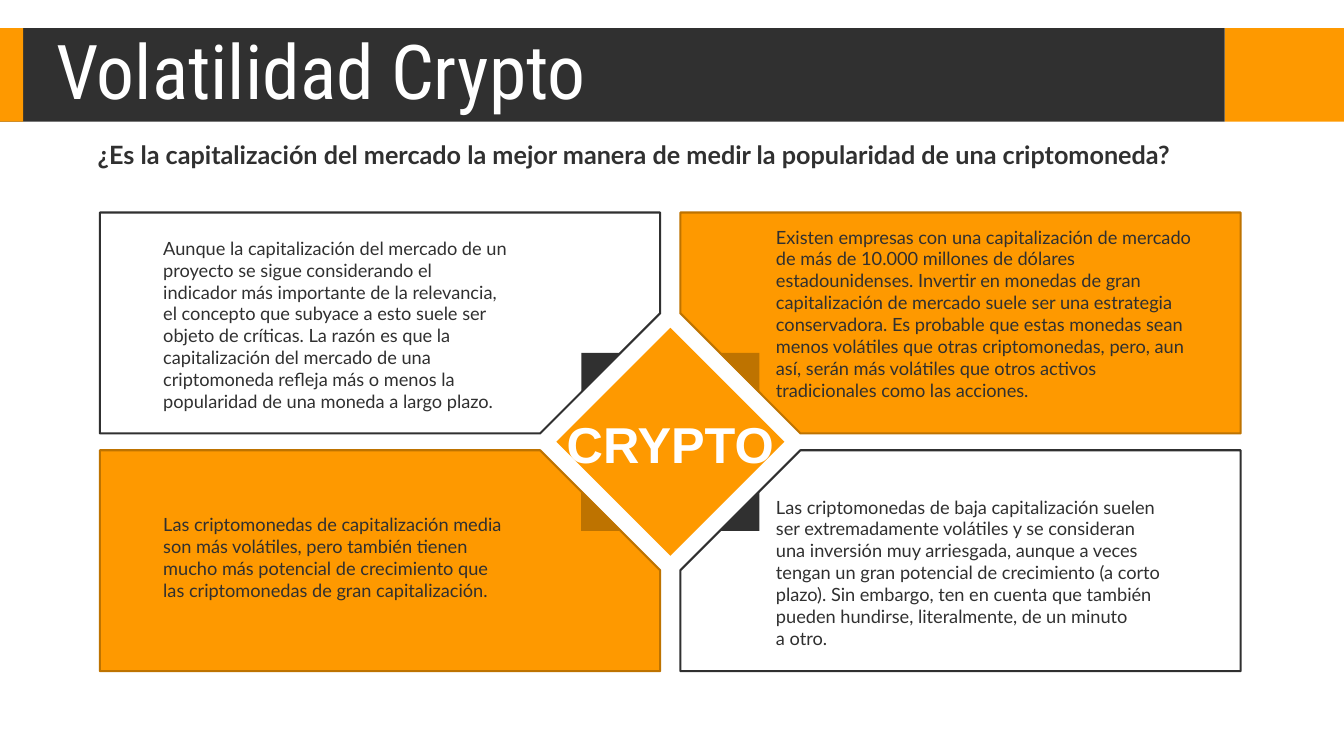
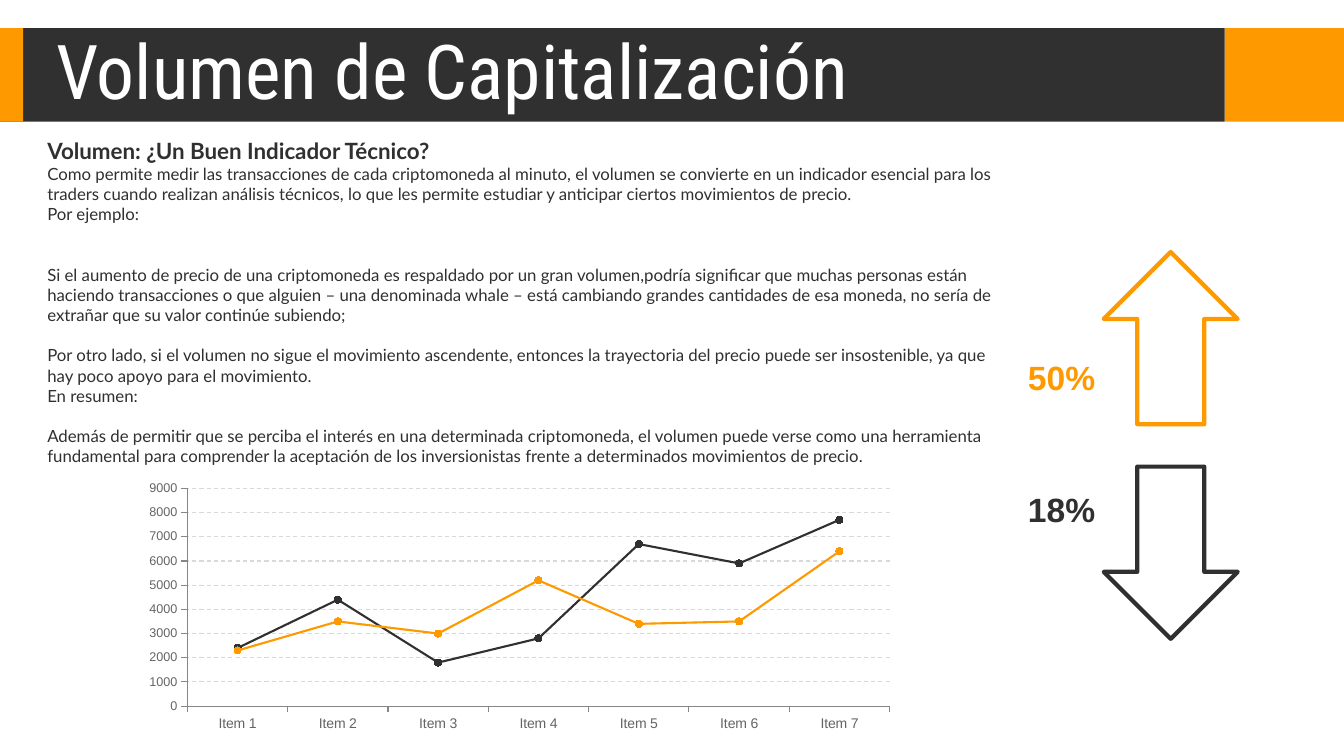
from copy import deepcopy

from lxml import etree
from pptx import Presentation
from pptx.chart.data import CategoryChartData
from pptx.dml.color import RGBColor
from pptx.enum import chart as charts, dml, shapes, text
from pptx.oxml import ns
from pptx.util import Emu, Pt

# The slide is a grid of 32 columns by 18 rows of square cells
COLUMNS, ROWS, CELL = 32, 18, 381000
COLORS = {"dark": "303030", "orange": "FE9900", "brown": "BE7300",
          "white": "FFFFFF", "label": "646464", "axis": "868686", "grid": "D9D9D9"}
KIND = shapes.MSO_SHAPE


def color(name):
    return RGBColor.from_string(COLORS[name])


def cells(*counts):
    return [Emu(round(count * CELL)) for count in counts]


def write(para, words, size=13, font="Lato", ink="dark", bold=False,
          align="LEFT", before=0, spacing=None):
    """Fill one paragraph; a newline in the words is a line break."""
    para.text = words
    para.alignment = getattr(text.PP_ALIGN, align)
    if before:
        para.space_before = Pt(before)
    if spacing:
        para.line_spacing = spacing
    for span in para.runs:
        span.font.name, span.font.size, span.font.bold = font, Pt(size), bold
        span.font.color.rgb = color(ink)
    for line_break in para._p.findall(ns.qn("a:br")):
        line_break.insert(0, deepcopy(para.runs[0]._r.rPr))


class Slides:
    def __init__(self):
        self.deck = Presentation()
        self.deck.slide_width, self.deck.slide_height = cells(COLUMNS, ROWS)
        self.layout = self.deck.slide_layouts[5]
        self.page = None

    def new_page(self, title):
        self.page = self.deck.slides.add_slide(self.layout)
        if len(self.deck.slides) == 1:
            self.bands()
        box = self.page.shapes.title
        box.left, box.top, box.width, box.height = cells(1.1, 0.84, 23.28, 1.9)
        frame = box.text_frame
        frame.auto_size = text.MSO_AUTO_SIZE.NONE
        frame.vertical_anchor = text.MSO_ANCHOR.MIDDLE
        write(frame.paragraphs[0], title, size=54, font="Roboto Condensed",
              ink="white", spacing=0.9)

    def bands(self):
        """Place the header bands in the layout, behind its placeholders."""
        bands = ((29.16, 2.84, "orange"), (0, 29.16, "dark"), (0, 0.55, "orange"))
        for index, (left, width, fill) in enumerate(bands):
            band = self.shape(KIND.RECTANGLE, left, 0.67, width, 2.23, fill=fill)
            band._element.nvSpPr.cNvPr.id = 101 + index
            self.layout.shapes._spTree.insert(2 + index, band._element)

    def paint(self, shape, fill=None, line=None, weight=1.5):
        shape.shadow.inherit = False
        if fill:
            shape.fill.solid()
            shape.fill.fore_color.rgb = color(fill)
        else:
            shape.fill.background()
        if line:
            shape.line.color.rgb = color(line)
            shape.line.width = Pt(weight)
        else:
            shape.line.fill.background()
        return shape

    def shape(self, kind, left, top, width, height, turn=0, **style):
        shape = self.page.shapes.add_shape(kind, *cells(left, top, width, height))
        shape.rotation = turn
        return self.paint(shape, **style)

    def outline(self, points, **style):
        start, *others = [cells(*point) for point in points]
        builder = self.page.shapes.build_freeform(*start)
        builder.add_line_segments(others, close=True)
        return self.paint(builder.convert_to_shape(), **style)

    def text(self, left, top, width, height, *paragraphs, anchor="MIDDLE", **style):
        """Each paragraph is a string, or a pair of string and own format."""
        box = self.page.shapes.add_textbox(*cells(left, top, width, height))
        frame = box.text_frame
        frame.word_wrap = True
        frame.vertical_anchor = getattr(text.MSO_ANCHOR, anchor)
        for index, item in enumerate(paragraphs):
            words, own = (item, {}) if isinstance(item, str) else item
            para = frame.add_paragraph() if index else frame.paragraphs[0]
            write(para, words, **{**style, **own})

    def line_chart(self, left, top, width, height, categories, series):
        """Each series is a name, a colour and its values."""
        data = CategoryChartData()
        data.categories = categories
        for name, _, values in series:
            data.add_series(name, values)
        chart = self.page.shapes.add_chart(
            charts.XL_CHART_TYPE.LINE_MARKERS,
            *cells(left, top, width, height), data).chart
        chart.has_title = chart.has_legend = False
        chart.font.name, chart.font.size = "Arial", Pt(18)
        chart.font.color.rgb = color("dark")
        chart.plots[0].vary_by_categories = False

        # Axes
        for axis, size in ((chart.category_axis, 10), (chart.value_axis, 9)):
            axis.major_tick_mark = charts.XL_TICK_MARK.OUTSIDE
            axis.minor_tick_mark = charts.XL_TICK_MARK.NONE
            axis.format.line.color.rgb = color("axis")
            font = axis.tick_labels.font
            font.name, font.size = "Arial", Pt(size)
            font.color.rgb = color("label")
        scale = chart.value_axis
        scale.minimum_scale, scale.maximum_scale, scale.major_unit = 0, 9000, 1000
        scale.has_major_gridlines = True
        grid = scale.major_gridlines.format.line
        grid.color.rgb = color("grid")
        grid.width = Pt(0.75)
        grid.dash_style = dml.MSO_LINE.DASH

        # Series
        for plotted, (_, ink, _) in zip(chart.plots[0].series, series):
            plotted.smooth = False
            plotted.format.line.color.rgb = color(ink)
            plotted.format.line.width = Pt(1.5)
            marker = plotted.marker
            marker.style, marker.size = charts.XL_MARKER_STYLE.CIRCLE, 5
            marker.format.fill.solid()
            marker.format.fill.fore_color.rgb = color(ink)
            marker.format.line.color.rgb = color(ink)


def volatility(slides):
    slides.new_page("Volatilidad Crypto")
    middle_x, middle_y = 15.96, 10.52

    # Four panels, mirrored around the middle, with the inner corner cut off
    outer, inner, near, far, cut = 13.58, 0.24, 0.2, 5.46, 2.86
    corners = ((inner, far), (outer, far), (outer, near),
               (inner + cut, near), (inner, near + cut))
    quarters = ((-1, -1, 90), (1, -1, 180), (-1, 1, 0), (1, 1, 270))
    for side, level, _ in quarters:
        style = ({"line": "dark"} if side == level
                 else {"fill": "orange", "line": "brown"})
        slides.outline([(middle_x + side * x, middle_y + level * y)
                        for x, y in corners], **style)

    # Central diamond and its four corner triangles
    square, triangle, offset = 3.84, 0.96, 1.64
    slides.shape(KIND.RECTANGLE, middle_x - square / 2, middle_y - square / 2,
                 square, square, turn=45, fill="orange")
    for side, level, turn in quarters:
        slides.shape(KIND.RIGHT_TRIANGLE,
                     middle_x + side * offset - triangle / 2,
                     middle_y + level * offset - triangle / 2,
                     triangle, triangle, turn=turn,
                     fill="dark" if side == level else "brown")

    # Panel texts: left, middle height, width, words
    height = 5
    for left, center, width, words in (
        (3.65, 7.73, 8.69, "Aunque la capitalización del mercado de un proyecto se sigue considerando el indicador más importante de la relevancia, el concepto que subyace a esto suele ser objeto de críticas. La razón es que la capitalización del mercado de una criptomoneda refleja más o menos la popularidad de una moneda a largo plazo."),
        (3.65, 13.27, 8.69, "Las criptomonedas de capitalización media son más volátiles, pero también tienen mucho más potencial de crecimiento que las criptomonedas de gran capitalización."),
        (18.24, 7.46, 10.49, "Existen empresas con una capitalización de mercado de más de 10.000 millones de dólares estadounidenses. Invertir en monedas de gran capitalización de mercado suele ser una estrategia conservadora. Es probable que estas monedas sean menos volátiles que otras criptomonedas, pero, aun así, serán más volátiles que otros activos tradicionales como las acciones."),
        (18.24, 13.63, 11.5, "Las criptomonedas de baja capitalización suelen\nser extremadamente volátiles y se consideran\nuna inversión muy arriesgada, aunque a veces\ntengan un gran potencial de crecimiento (a corto\nplazo). Sin embargo, ten en cuenta que también\npueden hundirse, literalmente, de un minuto\na otro."),
    ):
        slides.text(left, center - height / 2, width, height, words)

    # Centre label and question
    slides.text(middle_x - 3, 9.7, 6, 1.7, "CRYPTO", size=36, font="Arial",
                ink="white", bold=True, align="CENTER")
    slides.text(2.09, 3.19, 27.31, 2.42,
                "¿Es la capitalización del mercado la mejor manera de medir la popularidad de una criptomoneda?",
                size=18, bold=True, anchor="TOP")


def volume(slides):
    slides.new_page("Volumen de Capitalización")

    # Rise and fall: arrow top, turn, label top, label, colour
    for top, turn, label_top, label, ink in (
            (6, 0, 8.38, "50%", "orange"), (11.11, 180, 11.52, "18%", "dark")):
        slides.shape(KIND.UP_ARROW, 26.28, top, 3.19, 4.1, turn=turn,
                     line=ink, weight=3)
        slides.text(24.05, label_top, 2.45, 1.2, label, size=24, font="Arial",
                    ink=ink, bold=True, align="CENTER")

    # Explanation
    gap = {"before": 14.4}
    slides.text(
        0.89, 3.14, 23.47, 8.59,
        ("Volumen: ¿Un Buen Indicador Técnico?", {"size": 16, "bold": True}),
        "Como permite medir las transacciones de cada criptomoneda al minuto, el volumen se convierte en un indicador esencial para los traders cuando realizan análisis técnicos, lo que les permite estudiar y anticipar ciertos movimientos de precio.",
        "Por ejemplo:",
        ("Si el aumento de precio de una criptomoneda es respaldado por un gran volumen,podría significar que muchas personas están haciendo transacciones o que alguien – una denominada whale – está cambiando grandes cantidades de esa moneda, no sería de extrañar que su valor continúe subiendo;", {"before": 28.8}),
        ("Por otro lado, si el volumen no sigue el movimiento ascendente, entonces la trayectoria del precio puede ser insostenible, ya que hay poco apoyo para el movimiento.", gap),
        "En resumen:",
        ("Además de permitir que se perciba el interés en una determinada criptomoneda, el volumen puede verse como una herramienta fundamental para comprender la aceptación de los inversionistas frente a determinados movimientos de precio.", gap),
        size=12, anchor="TOP")

    # Chart
    slides.line_chart(
        3.19, 11.33, 18.36, 6.22, [f"Item {number}" for number in range(1, 8)],
        (("Series 1", "dark", (2400, 4400, 1800, 2800, 6700, 5900, 7700)),
         ("Series 2", "orange", (2300, 3500, 3000, 5200, 3400, 3500, 6400))))


def main():
    slides = Slides()
    volatility(slides)
    volume(slides)
    slides.deck.save("out.pptx")


if __name__ == "__main__":
    main()
